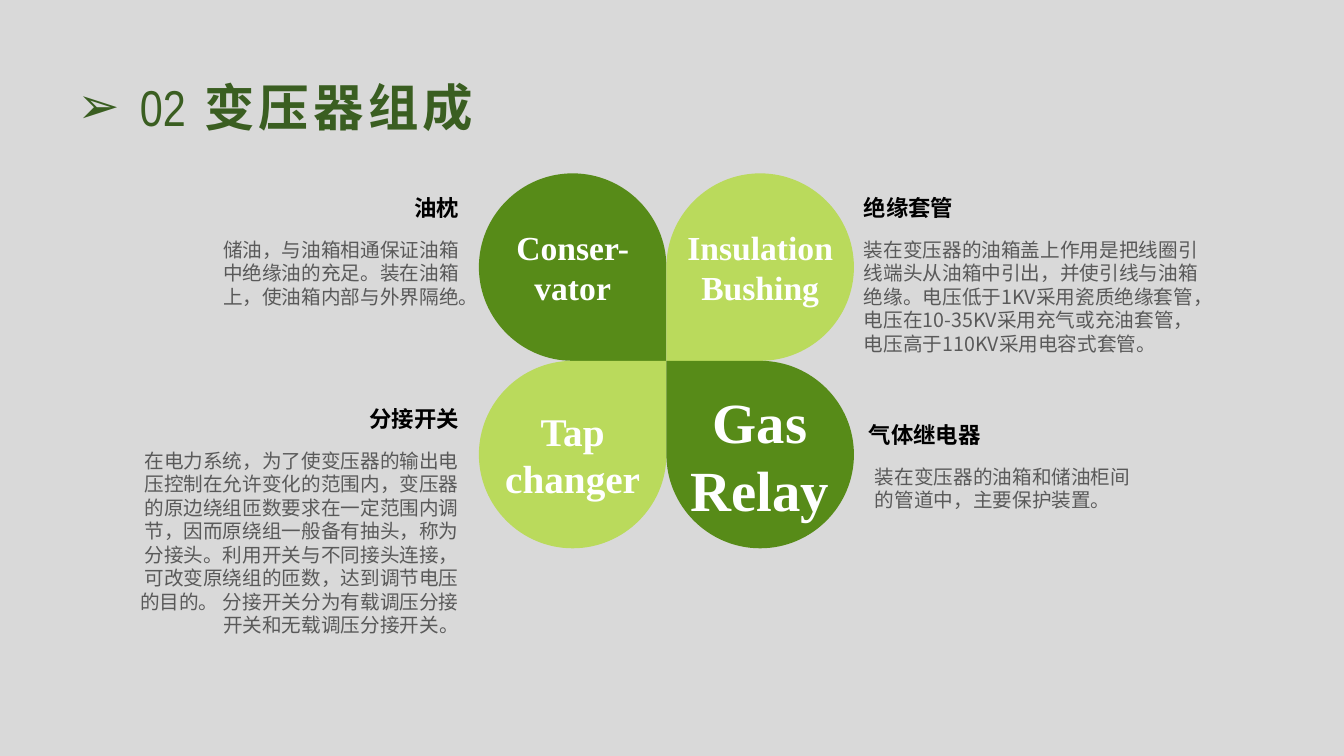
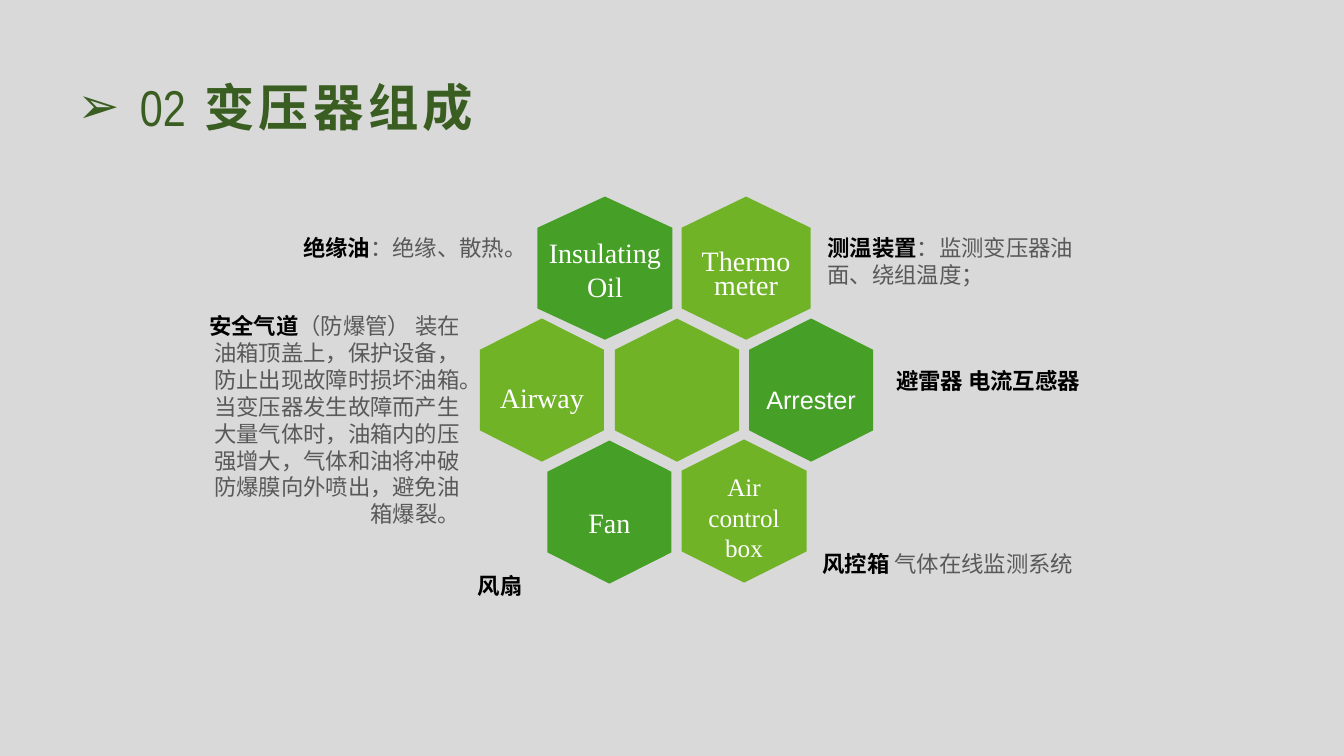
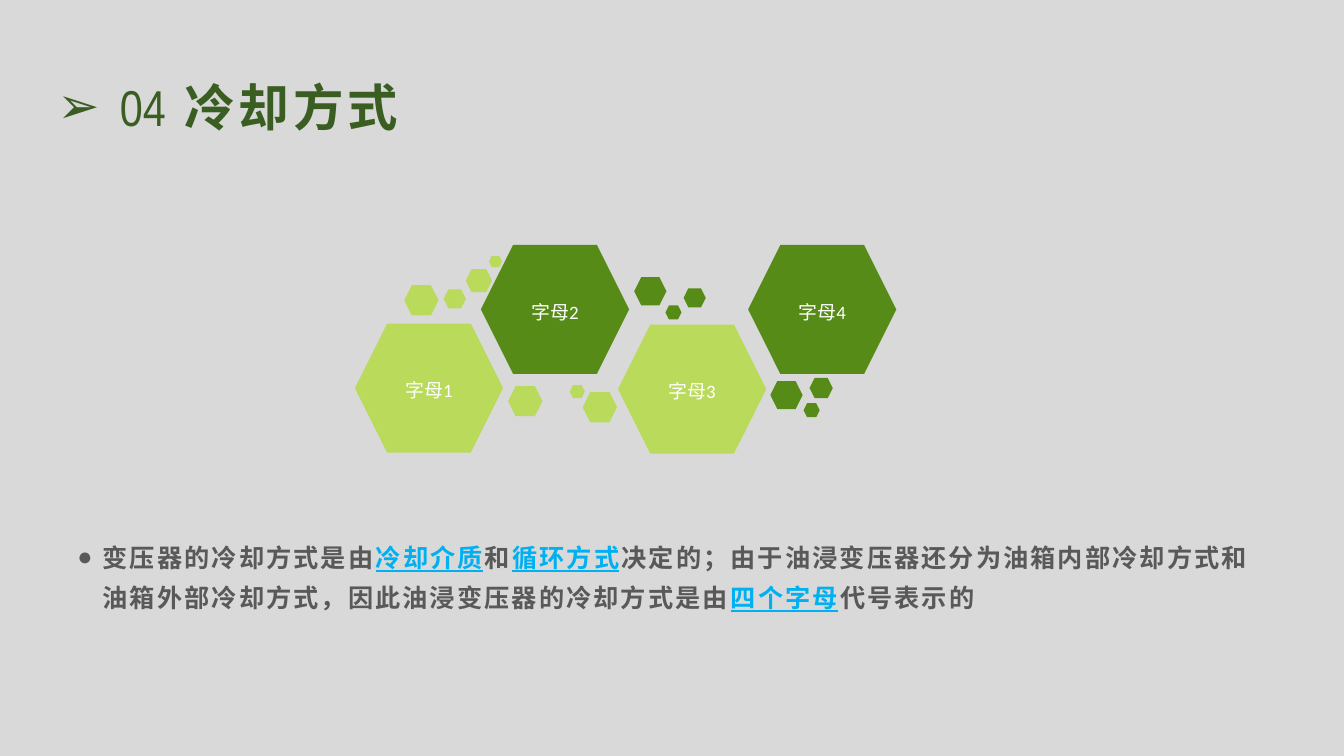
"""Build three slides on transformer parts and cooling methods."""
import lxml.etree
import pptx
import pptx.dml.color
import pptx.enum.shapes
import pptx.enum.text
import pptx.oxml.ns
import pptx.util

Inches = pptx.util.Inches
Pt = pptx.util.Pt
LEFT = pptx.enum.text.PP_ALIGN.LEFT
CENTER = pptx.enum.text.PP_ALIGN.CENTER
RIGHT = pptx.enum.text.PP_ALIGN.RIGHT
TOP = pptx.enum.text.MSO_ANCHOR.TOP
MIDDLE = pptx.enum.text.MSO_ANCHOR.MIDDLE
HEXAGON = pptx.enum.shapes.MSO_SHAPE.HEXAGON

COLORS = {
    "background": "D9D9D9",
    "title": "3A5E21",
    "dark": "578B18",
    "light": "BADA5C",
    "green": "469F26",
    "lime": "70B327",
    "white": "FFFFFF",
    "black": "000000",
    "gray": "595959",
    "blue": "00B0F0",
}
CJK = "Noto Sans CJK SC"
SERIF = "Times New Roman"
LINE = 1.2


def paint(shape, color):
    shape.shadow.inherit = False
    shape.fill.solid()
    shape.fill.fore_color.rgb = pptx.dml.color.RGBColor.from_string(COLORS[color])
    shape.line.fill.background()


def write(shape, runs, size, align=LEFT, anchor=TOP, spacing=None, top=0.05, bullet=None):
    frame = shape.text_frame
    frame.word_wrap = True
    frame.vertical_anchor = anchor
    frame.margin_top = Inches(top)
    paragraph = frame.paragraphs[0]
    paragraph.alignment = align
    paragraph.line_spacing = spacing
    if bullet:
        mark, indent = bullet
        properties = paragraph._p.get_or_add_pPr()
        properties.set("marL", str(Inches(indent)))
        properties.set("indent", str(-Inches(indent)))
        for tag, key, value in (("a:buFont", "typeface", "Arial"), ("a:buChar", "char", mark)):
            lxml.etree.SubElement(properties, pptx.oxml.ns.qn(tag)).set(key, value)
    for text, typeface, color, bold, tracking, underline in runs:
        run = paragraph.add_run()
        run.text = text
        run.font.size = Pt(size)
        run.font.bold = bold
        run.font.underline = underline
        run.font.color.rgb = pptx.dml.color.RGBColor.from_string(COLORS[color])
        run.font.name = typeface
        run_properties = run._r.get_or_add_rPr()
        run_properties.set("spc", str(round(tracking * 100)))
        east_asian = lxml.etree.SubElement(run_properties, pptx.oxml.ns.qn("a:ea"))
        east_asian.set("typeface", CJK)


deck = pptx.Presentation()
deck.slide_width = Inches(13.33)
deck.slide_height = Inches(7.5)
backdrop = deck.slide_master.background.fill
backdrop.solid()
backdrop.fore_color.rgb = pptx.dml.color.RGBColor.from_string(COLORS["background"])

slides = []
for number, heading, left in (
    ("02", "变压器组成", 0.67),
    ("02", "变压器组成", 0.67),
    ("04", "冷却方式", 0.47),
):
    slide = deck.slides.add_slide(deck.slide_layouts[6])
    title = slide.shapes.add_textbox(Inches(left), Inches(0.67), Inches(12), Inches(0.77))
    title_runs = [
        (number, "Arial Narrow", "title", False, 0, False),
        (" ", "Arial Narrow", "title", False, 5, False),
        (heading, CJK, "title", True, 3, False),
    ]
    write(title, title_runs, 36, anchor=MIDDLE, bullet=("➢", 0.62))
    slides.append(slide)
main_parts, other_parts, cooling = [slide.shapes for slide in slides]

hub_x, hub_y, radius, roundness = 6.61, 3.58, 0.93, 0.55
for side_x, side_y, part, size, color in (
    (-1, -1, "Conser-vator", 24, "dark"),
    (1, -1, "Insulation Bushing", 24, "light"),
    (-1, 1, "Tap changer", 28, "light"),
    (1, 1, "Gas Relay", 40.5, "dark"),
):
    center_x, center_y = hub_x + side_x * radius, hub_y + side_y * radius
    outer_x, outer_y = center_x + side_x * radius, center_y + side_y * radius
    tangents = [(center_x, hub_y), (outer_x, center_y), (center_x, outer_y), (hub_x, center_y)]
    builder = main_parts.build_freeform(Inches(hub_x), Inches(hub_y), scale=1.0)
    builder.add_line_segments([(Inches(x), Inches(y)) for x, y in tangents], close=True)
    petal = builder.convert_to_shape()
    sides = list(petal._element.iter(pptx.oxml.ns.qn("a:lnTo")))
    ends = [(int(side[0].get("x")), int(side[0].get("y"))) for side in sides]
    for index in (1, 2, 3):
        start, end = ends[index - 1], ends[index]
        corner = (start[0], end[1]) if index == 2 else (end[0], start[1])
        sides[index].tag = pptx.oxml.ns.qn("a:cubicBezTo")
        for position, origin in enumerate((start, end)):
            control = lxml.etree.Element(pptx.oxml.ns.qn("a:pt"))
            for key, near, far in zip("xy", origin, corner):
                control.set(key, str(round(near + roundness * (far - near))))
            sides[index].insert(position, control)
    paint(petal, color)
    write(petal, [(part, SERIF, "white", True, 0, False)], size, CENTER, MIDDLE)

for heading, heading_left, left, top, width, height, align, description in (
    ("油枕", 1.96, 1.96, 2.31, 2.69, 0.81, RIGHT,
     "储油，与油箱相通保证油箱中绝缘油的充足。装在油箱上，使油箱内部与外界隔绝。"),
    ("分接开关", 1.27, 1.27, 4.4, 3.38, 1.98, RIGHT,
     "在电力系统，为了使变压器的输出电压控制在允许变化的范围内，变压器的原边绕组匝数要求在"
     "一定范围内调节，因而原绕组一般备有抽头，称为分接头。利用开关与不同接头连接，可改变"
     "原绕组的匝数，达到调节电压的目的。 分接开关分为有载调压分接开关和无载调压分接开关。"),
    ("绝缘套管", 8.47, 8.47, 2.31, 3.63, 1.28, LEFT,
     "装在变压器的油箱盖上作用是把线圈引线端头从油箱中引出，并使引线与油箱绝缘。"
     "电压低于1KV采用瓷质绝缘套管，电压在10-35KV采用充气或充油套管，"
     "电压高于110KV采用电容式套管。"),
    ("气体继电器", 8.52, 8.58, 4.56, 2.74, 0.57, LEFT,
     "装在变压器的油箱和储油柜间的管道中，主要保护装置。"),
):
    for text, x, y, tall, size, color, bold in (
        (description, left, top, height, 14, "gray", False),
        (heading, heading_left, top - 0.43, 0.37, 16, "black", True),
    ):
        note = main_parts.add_textbox(Inches(x), Inches(y), Inches(width), Inches(tall))
        write(note, [(text, CJK, color, bold, 0, False)], size, align, spacing=Pt(size * LINE))

cell_height, shoulder = 1.42, 0.31
for part, left, top, width, color, typeface, size, text_top, spacing in (
    ("Insulating Oil", 5.33, 1.95, 1.34, "green", SERIF, 20, 0.39, None),
    ("Arrester", 7.43, 3.16, 1.23, "green", "Arial", 18, 0.65, None),
    ("Fan", 5.43, 4.37, 1.23, "green", SERIF, 20, 0.64, None),
    ("Thermometer", 6.76, 1.95, 1.28, "lime", SERIF, 20, 0.56, 0.7),
    ("Air control box", 6.76, 4.36, 1.24, "lime", SERIF, 18, 0.32, None),
    ("Airway", 4.76, 3.16, 1.23, "lime", SERIF, 20, 0.61, None),
    ("", 6.1, 3.16, 1.23, "lime", SERIF, 20, 0.05, None),
):
    middle, right, bottom = left + width / 2, left + width, top + cell_height
    corners = [
        (right, top + shoulder),
        (right, bottom - shoulder),
        (middle, bottom),
        (left, bottom - shoulder),
        (left, top + shoulder),
    ]
    builder = other_parts.build_freeform(Inches(middle), Inches(top), scale=1.0)
    builder.add_line_segments([(Inches(x), Inches(y)) for x, y in corners], close=True)
    cell = builder.convert_to_shape()
    paint(cell, color)
    if part:
        part_runs = [(part, typeface, "white", False, 0, False)]
        write(cell, part_runs, size, CENTER, spacing=spacing, top=text_top)

for term, description, left, top, align in (
    ("绝缘油", "：绝缘、散热。", 2.54, 2.27, RIGHT),
    ("安全气道",
     "（防爆管） 装在油箱顶盖上，保护设备，防止出现故障时损坏油箱。当变压器发生故障而产生"
     "大量气体时，油箱内的压强增大，气体和油将冲破防爆膜向外喷出，避免油箱爆裂。",
     1.88, 3.05, RIGHT),
    ("风扇 ", "", 2.55, 5.63, RIGHT),
    ("测温装置", "：监测变压器油面、绕组温度；", 8.11, 2.27, LEFT),
    ("避雷器 电流互感器", "", 8.79, 3.59, LEFT),
    ("风控箱", " 气体在线监测系统", 8.06, 5.41, LEFT),
):
    note = other_parts.add_textbox(Inches(left), Inches(top), Inches(2.78), Inches(0.78))
    note_runs = [(term, CJK, "black", True, 0, False)]
    if description:
        note_runs.append((description, CJK, "gray", False, 0, False))
    write(note, note_runs, 16, align, spacing=Pt(16 * LINE))

summary = cooling.add_textbox(Inches(0.67), Inches(5.23), Inches(12), Inches(1))
summary_runs = []
for text, stressed in (
    ("变压器的冷却方式是由", False),
    ("冷却介质", True),
    ("和", False),
    ("循环方式", True),
    ("决定的；由于油浸变压器还分为油箱内部冷却方式和油箱外部冷却方式，"
     "因此油浸变压器的冷却方式是由", False),
    ("四个字母", True),
    ("代号表示的", False),
):
    summary_runs.append((text, CJK, "blue" if stressed else "gray", True, 1.5, stressed))
write(summary, summary_runs, 18, spacing=Pt(28.6), bullet=("●", 0.25))

for letter, left, top, width, height, color in (
    ("字母1", 3.52, 3.21, 1.47, 1.28, "light"),
    ("字母2", 4.77, 2.43, 1.47, 1.28, "dark"),
    ("字母3", 6.13, 3.22, 1.47, 1.28, "light"),
    ("字母4", 7.42, 2.43, 1.47, 1.28, "dark"),
    ("", 4.01, 2.83, 0.34, 0.3, "light"),
    ("", 5.04, 3.83, 0.34, 0.3, "light"),
    ("", 5.78, 3.89, 0.34, 0.3, "light"),
    ("", 6.78, 2.86, 0.22, 0.19, "dark"),
    ("", 6.29, 2.75, 0.32, 0.28, "dark"),
    ("", 4.85, 2.54, 0.13, 0.11, "light"),
    ("", 5.65, 3.82, 0.15, 0.13, "light"),
    ("", 6.6, 3.03, 0.16, 0.14, "dark"),
    ("", 4.62, 2.67, 0.26, 0.23, "light"),
    ("", 7.64, 3.78, 0.32, 0.28, "dark"),
    ("", 8.03, 3.75, 0.23, 0.2, "dark"),
    ("", 7.97, 4, 0.16, 0.14, "dark"),
    ("", 4.4, 2.87, 0.22, 0.19, "light"),
):
    bubble = cooling.add_shape(HEXAGON, Inches(left), Inches(top), Inches(width), Inches(height))
    paint(bubble, color)
    if letter:
        letter_runs = [(letter, "Calibri", "white", False, 0, False)]
        write(bubble, letter_runs, 13.5, CENTER, MIDDLE, spacing=1.2)

deck.save("out.pptx")
